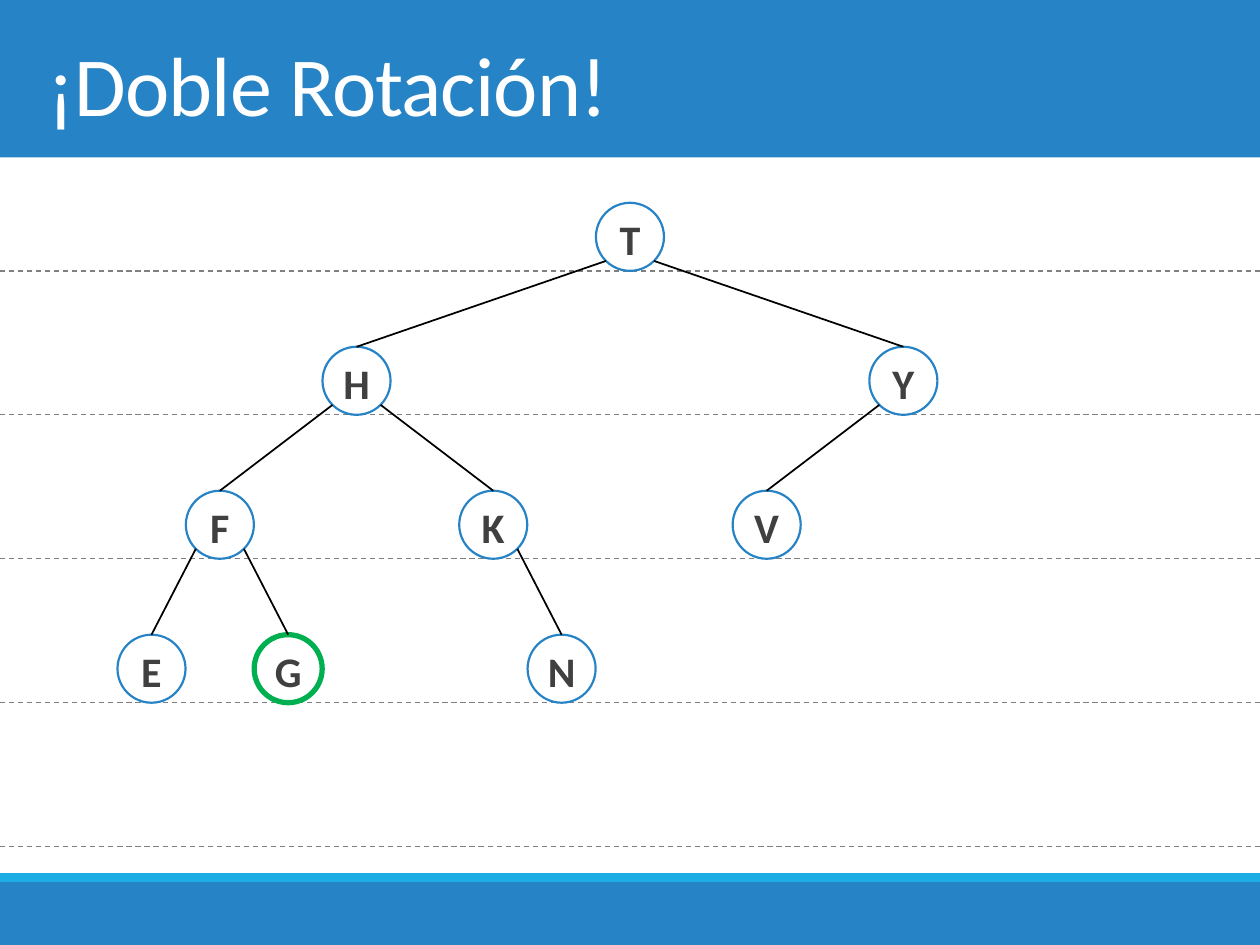
from dataclasses import dataclass
from math import sqrt

from lxml import etree
from pptx import Presentation
from pptx.dml.color import RGBColor
from pptx.enum.dml import MSO_LINE
from pptx.enum.shapes import MSO_CONNECTOR, MSO_SHAPE
from pptx.enum.text import MSO_ANCHOR, PP_ALIGN
from pptx.oxml.ns import qn
from pptx.shapes.autoshape import Shape
from pptx.shapes.connector import Connector
from pptx.slide import Slide
from pptx.util import Inches, Pt

STRAIGHT = MSO_CONNECTOR.STRAIGHT
RECTANGLE, OVAL = MSO_SHAPE.RECTANGLE, MSO_SHAPE.OVAL
DASH = MSO_LINE.DASH
MIDDLE = MSO_ANCHOR.MIDDLE
LEFT, CENTER = PP_ALIGN.LEFT, PP_ALIGN.CENTER
TOP_SITE = 0
TITLE_ONLY_LAYOUT = 5


@dataclass(frozen=True)
class Theme:
    font: str = "Calibri"
    title_size: int = 48
    node_size: int = 24
    band: str = "2683C6"
    accent: str = "1CADE4"
    white: str = "FFFFFF"
    node_text: str = "404040"
    edge: str = "000000"
    level_line: str = "808080"
    inserted: str = "00B050"


@dataclass(frozen=True)
class Band:
    top: float
    height: float
    color: str


@dataclass(frozen=True)
class Node:
    label: str
    route: str  # L and R turns taken from the root
    inserted: bool = False

    @property
    def center_x(self) -> float:
        """Each turn moves half as far sideways as the one above it."""
        return ROOT_X + sum(
            (FIRST_STEP if turn == "R" else -FIRST_STEP) / 2**depth
            for depth, turn in enumerate(self.route)
        )

    @property
    def bottom(self) -> float:
        return level_y(len(self.route))


THEME = Theme()
SLIDE_WIDTH, SLIDE_HEIGHT = 10, 7.5
ROOT_X, FIRST_STEP = 5, 2.17
DIAMETER = 0.54
FIRST_LEVEL, LAST_LEVEL, LEVEL_COUNT = 2.15, 6.72, 5

BANDS = [
    Band(0, 1.25, THEME.band),
    Band(7, 0.5, THEME.band),
    Band(6.93, 0.07, THEME.accent),
]
NODES = [
    Node("T", ""),
    Node("H", "L"), Node("Y", "R"),
    Node("F", "LL"), Node("K", "LR"), Node("V", "RL"),
    Node("E", "LLL"), Node("G", "LLR", inserted=True), Node("N", "LRR"),
]


def level_y(level: int) -> float:
    return FIRST_LEVEL + level * (LAST_LEVEL - FIRST_LEVEL) / (LEVEL_COUNT - 1)


def rgb(color: str) -> RGBColor:
    return RGBColor.from_string(color)


def add_band(slide: Slide, band: Band) -> None:
    shape = slide.shapes.add_shape(
        RECTANGLE, 0, Inches(band.top), Inches(SLIDE_WIDTH), Inches(band.height)
    )
    shape.shadow.inherit = False
    shape.fill.solid()
    shape.fill.fore_color.rgb = rgb(band.color)
    shape.line.fill.background()


def set_title(slide: Slide, text: str) -> None:
    title = slide.shapes.title
    title.left, title.top = Inches(0.28), 0
    title.width, title.height = Inches(9.45), Inches(1.25)
    frame = title.text_frame
    frame.text = text
    frame.vertical_anchor = MIDDLE
    frame.margin_top = Inches(0.12)
    paragraph = frame.paragraphs[0]
    paragraph.alignment = LEFT
    paragraph.font.name = THEME.font
    paragraph.font.size = Pt(THEME.title_size)
    paragraph.font.color.rgb = rgb(THEME.white)
    # Slightly tightened letter spacing, in hundredths of a point
    paragraph.runs[0].font._element.set("spc", "-50")


def add_line(slide: Slide, start: tuple[float, float], end: tuple[float, float],
             color: str, width: float) -> Connector:
    points = [Inches(value) for value in (*start, *end)]
    connector = slide.shapes.add_connector(STRAIGHT, *points)
    connector.line.color.rgb = rgb(color)
    connector.line.width = Pt(width)
    etree.SubElement(connector._element.spPr, qn("a:effectLst"))
    return connector


def add_node(slide: Slide, node: Node) -> Shape:
    shape = slide.shapes.add_shape(
        OVAL, Inches(node.center_x - DIAMETER / 2), Inches(node.bottom - DIAMETER),
        Inches(DIAMETER), Inches(DIAMETER),
    )
    shape.shadow.inherit = False
    shape.fill.solid()
    shape.fill.fore_color.rgb = rgb(THEME.white)
    shape.line.color.rgb = rgb(THEME.inserted if node.inserted else THEME.band)
    shape.line.width = Pt(3 if node.inserted else 1.25)
    frame = shape.text_frame
    frame.text = node.label
    frame.vertical_anchor = MIDDLE
    frame.margin_left = frame.margin_right = frame.margin_bottom = 0
    frame.margin_top = Inches(0.03)
    paragraph = frame.paragraphs[0]
    paragraph.alignment = CENTER
    paragraph.font.name = THEME.font
    paragraph.font.size = Pt(THEME.node_size)
    paragraph.font.bold = True
    paragraph.font.color.rgb = rgb(THEME.node_text)
    return shape


def add_edge(slide: Slide, parent: Node, child: Node, child_shape: Shape) -> None:
    """Run from the parent's lower diagonal point to the top of the child."""
    radius = DIAMETER / 2
    diagonal = radius / sqrt(2)
    side = 1 if child.route[-1] == "R" else -1
    start = (parent.center_x + side * diagonal, parent.bottom - radius + diagonal)
    end = (child.center_x, child.bottom - DIAMETER)
    edge = add_line(slide, start, end, THEME.edge, 1)
    edge.end_connect(child_shape, TOP_SITE)


def main() -> None:
    presentation = Presentation()
    presentation.slide_width = Inches(SLIDE_WIDTH)
    presentation.slide_height = Inches(SLIDE_HEIGHT)
    slide = presentation.slides.add_slide(
        presentation.slide_layouts[TITLE_ONLY_LAYOUT]
    )

    # Bands, with the title brought in front of them
    for band in BANDS:
        add_band(slide, band)
    set_title(slide, "¡Doble Rotación!")
    slide.shapes._spTree.append(slide.shapes.title._element)

    # Dashed line under each tree level
    for level in range(LEVEL_COUNT):
        y = level_y(level)
        line = add_line(slide, (0, y), (SLIDE_WIDTH, y), THEME.level_line, 0.75)
        line.line.dash_style = DASH

    # Tree: every node, joined to the parent one turn up its route
    nodes_by_route = {node.route: node for node in NODES}
    for node in NODES:
        shape = add_node(slide, node)
        if node.route:
            add_edge(slide, nodes_by_route[node.route[:-1]], node, shape)

    presentation.save("out.pptx")


if __name__ == "__main__":
    main()
